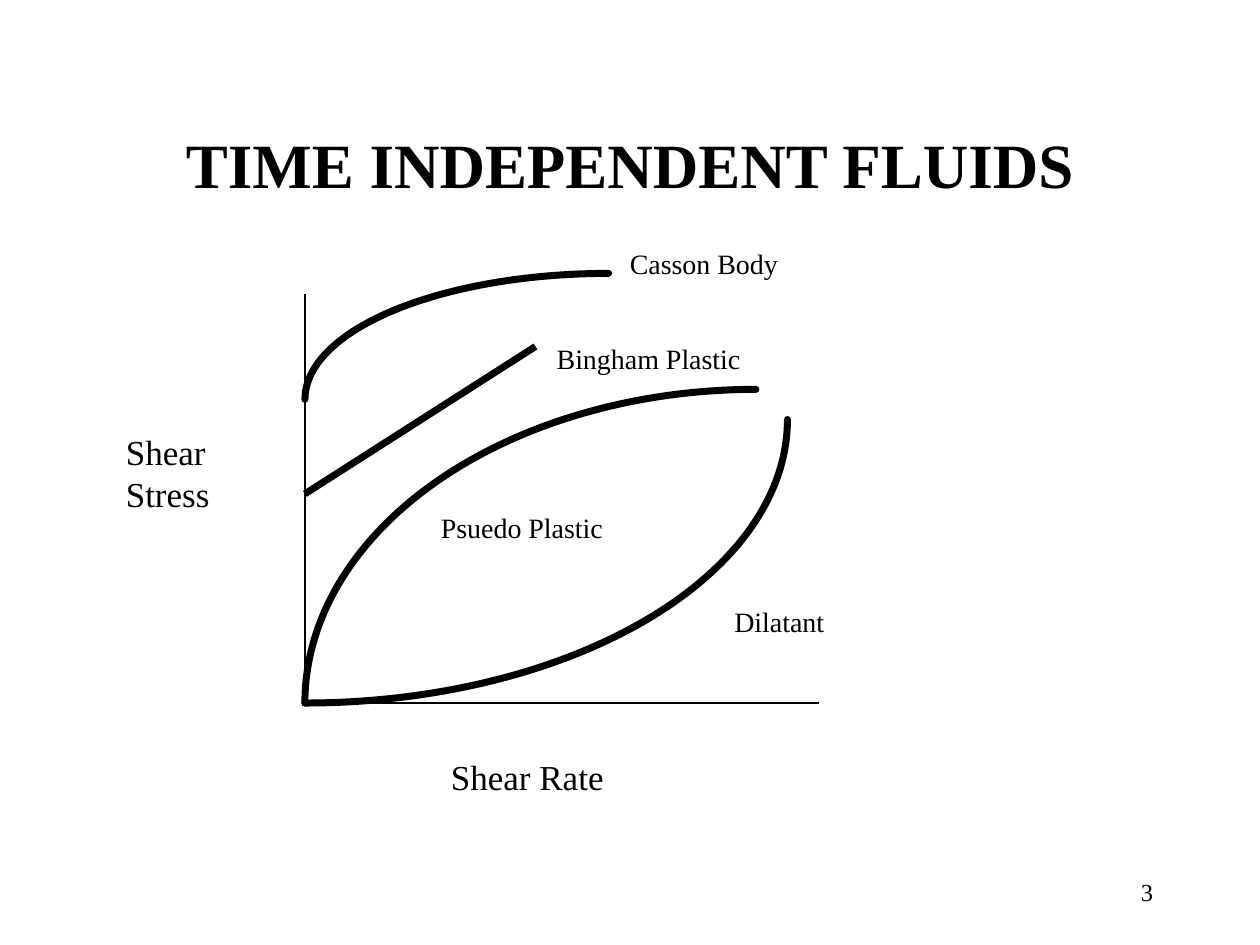
import pptx
import pptx.dml.color
import pptx.enum.shapes
import pptx.enum.text
import pptx.oxml.ns
import pptx.util
from lxml import etree
from pptx.util import Inches

FONT = "Times New Roman"
BLACK = "000000"
THIN, THICK = 1, 4
ALIGN = pptx.enum.text.PP_ALIGN
ANCHOR = pptx.enum.text.MSO_ANCHOR

# Content: lines, box, size
title = (["TIME INDEPENDENT FLUIDS"], (0.75, 0.67, 8.5, 1.25), 36)
page_number = (["3"], (7.17, 6.83, 2.08, 0.5), 14)
axis_labels = [
    (["Shear", "Stress"], (0.9, 3.37, 0.91, 0.77), 20),
    (["Shear Rate"], (3.48, 5.95, 1.42, 0.43), 20),
]
curve_labels = [
    (["Psuedo Plastic"], (3.4, 4, 1.49, 0.37), 16),
    (["Dilatant"], (5.73, 4.75, 0.92, 0.37), 16),
    (["Bingham Plastic"], (4.32, 2.66, 1.66, 0.37), 16),
    (["Casson Body"], (4.9, 1.91, 1.38, 0.37), 16),
]

# Axes and the Bingham line: start, end, weight
origin = (2.42, 5.58)
straight_lines = [
    (origin, (2.42, 2.33), THIN),
    (origin, (6.5, 5.58), THIN),
    ((2.42, 3.92), (4.25, 2.75), THICK),
]

# Quarter ellipses: centre, radii, start angle in degrees clockwise from the right
curves = [
    ((2.42, 3.33), (3.83, 2.25), 0),     # Dilatant
    ((6, 5.58), (3.58, 2.49), 180),      # Pseudo plastic
    ((4.83, 3.17), (2.41, 1), 180),      # Casson body
]

deck = pptx.Presentation()
deck.slide_width, deck.slide_height = Inches(10), Inches(7.5)
slide = deck.slides.add_slide(deck.slide_layouts[6])


def color(hex_code):
    return pptx.dml.color.RGBColor.from_string(hex_code)


def add_label(lines, box, size, align=ALIGN.LEFT, anchor=ANCHOR.TOP, wrap=False):
    frame = slide.shapes.add_textbox(*map(Inches, box)).text_frame
    frame.word_wrap = wrap
    frame.vertical_anchor = anchor
    frame.text = "\n".join(lines)
    for paragraph in frame.paragraphs:
        paragraph.alignment = align
        paragraph.font.name = FONT
        paragraph.font.size = pptx.util.Pt(size)
        paragraph.font.color.rgb = color(BLACK)
    return frame


def set_stroke(line, weight):
    line.color.rgb = color(BLACK)
    line.width = pptx.util.Pt(weight)


def add_line(start, end, weight):
    line = slide.shapes.add_connector(
        pptx.enum.shapes.MSO_CONNECTOR.STRAIGHT, *map(Inches, start + end))
    set_stroke(line.line, weight)
    etree.SubElement(line._element.spPr, pptx.oxml.ns.qn("a:effectLst"))


def add_curve(center, radii, start_angle):
    (cx, cy), (rx, ry) = center, radii
    box = (cx - rx, cy - ry, 2 * rx, 2 * ry)
    arc = slide.shapes.add_shape(
        pptx.enum.shapes.MSO_SHAPE.ARC, *map(Inches, box))
    # Angles are stored in 60000ths of a degree; adjustments scale by 100000
    arc.adjustments[0] = start_angle * 0.6
    arc.adjustments[1] = (start_angle + 90) * 0.6
    arc.fill.background()
    arc.shadow.inherit = False
    set_stroke(arc.line, THICK)
    arc.line._ln.set("cap", "rnd")


# Title
heading = add_label(*title, align=ALIGN.CENTER, anchor=ANCHOR.MIDDLE, wrap=True)
heading.paragraphs[0].font.bold = True

# Diagram
for straight_line in straight_lines:
    add_line(*straight_line)
for curve in curves:
    add_curve(*curve)
for label in axis_labels + curve_labels:
    add_label(*label)

# Page number
add_label(*page_number, align=ALIGN.RIGHT, anchor=ANCHOR.MIDDLE, wrap=True)

deck.save("out.pptx")
